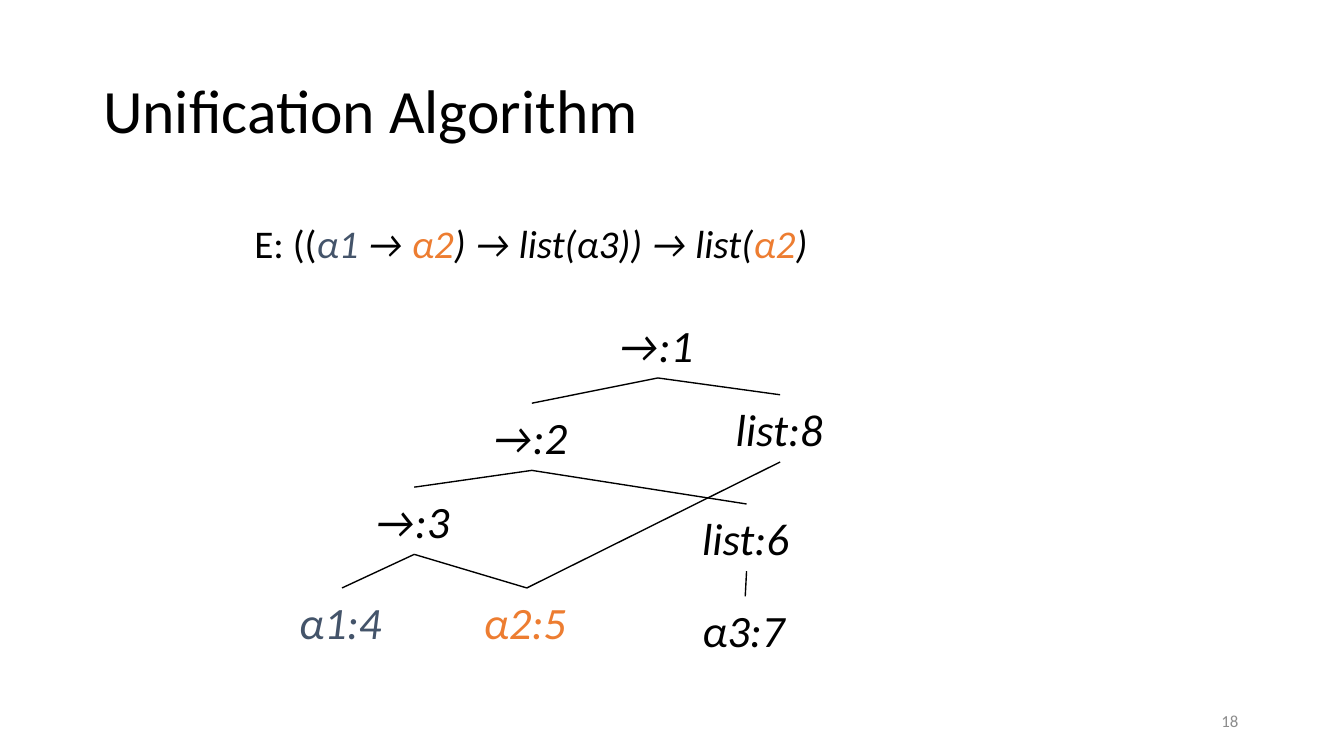
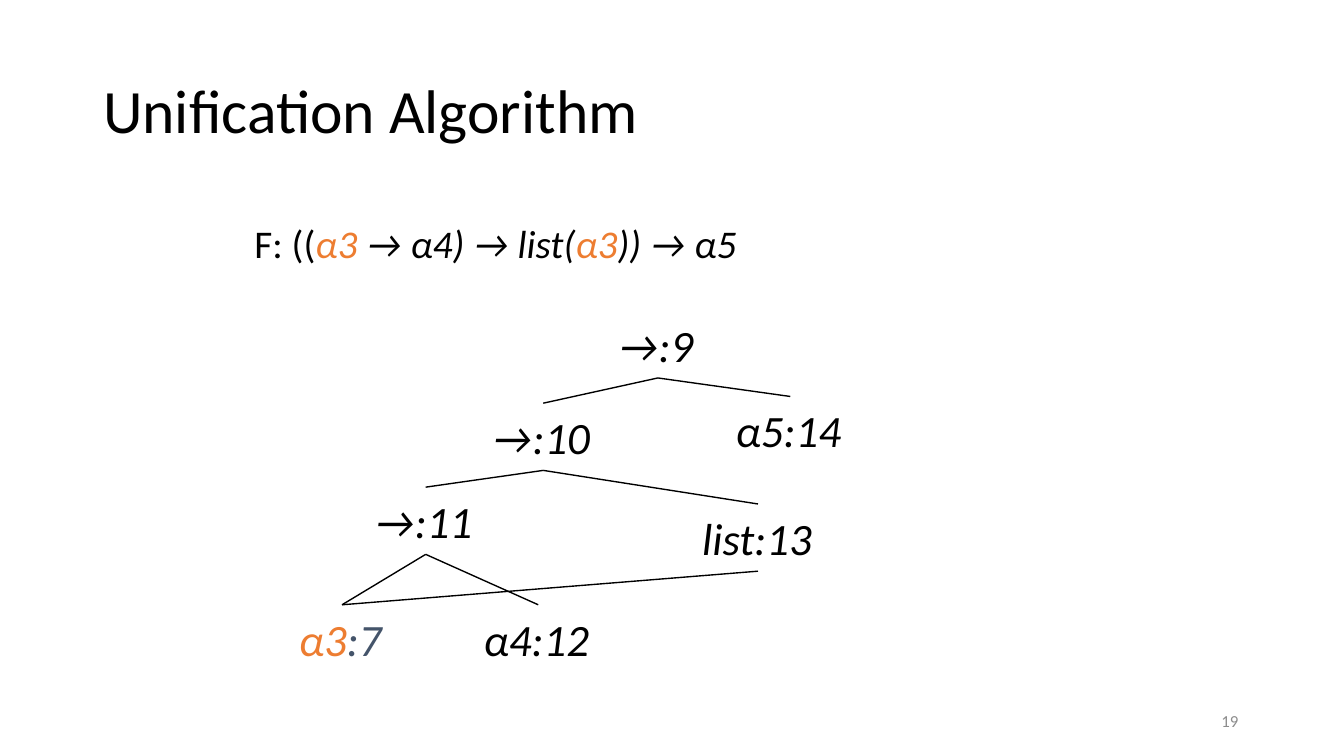
import pptx
import pptx.util
import pptx.dml.color
import pptx.enum.shapes
import pptx.enum.text
import pptx.oxml.ns
import lxml.etree

RGBColor = pptx.dml.color.RGBColor
BLACK = RGBColor(0x00, 0x00, 0x00)
SLATE = RGBColor(0x44, 0x54, 0x6A)
ORANGE = RGBColor(0xED, 0x7D, 0x31)
GREY = RGBColor(0x8C, 0x8C, 0x8C)
ALIGN = pptx.enum.text.PP_ALIGN
MIDDLE = pptx.enum.text.MSO_ANCHOR.MIDDLE
TOP = pptx.enum.text.MSO_ANCHOR.TOP

deck = pptx.Presentation()
deck.slide_width = pptx.util.Inches(10)
deck.slide_height = pptx.util.Inches(5.625)
CELL = deck.slide_width // 160  # the slide is a grid of 160 columns by 90 rows

# Node width in inches: the symbol and colon, plus each digit of the number
SYMBOL_WIDTH = {"→": 0.62, "α": 0.67, "l": 0.69}
DIGIT_WIDTH = 0.17


def place(box, column, row, columns, rows, inset=0.1, anchor=TOP):
    box.left, box.top = int(column * CELL), int(row * CELL)
    box.width, box.height = int(columns * CELL), int(rows * CELL)
    frame = box.text_frame
    frame.margin_left = frame.margin_right = pptx.util.Inches(inset)
    frame.margin_top = frame.margin_bottom = pptx.util.Inches(0.05)
    frame.vertical_anchor = anchor
    frame.word_wrap = True
    return frame


def write(frame, spans, size, align=ALIGN.LEFT):
    para = frame.paragraphs[0]
    para.alignment = align
    for text, color, italic in spans:
        span = para.add_run()
        span.text = text
        span.font.name = "Calibri"
        span.font.size = pptx.util.Pt(size)
        span.font.color.rgb = color
        span.font.italic = italic
    return para


# Each tree: node -> (column, row, coloured spans), then parent-child edges
pages = [
    {
        "number": "18",
        "formula": [("E: ((", BLACK, False), ("α1 ", SLATE, True), ("→ ", BLACK, True),
                    ("α2", ORANGE, True), (") → list(α3)) → list(", BLACK, True),
                    ("α2", ORANGE, True), (")", BLACK, True)],
        "nodes": {
            1: (72, 37, [("→:1", BLACK)]),
            2: (57, 48, [("→:2", BLACK)]),
            8: (86, 47, [("list:8", BLACK)]),
            3: (43, 58, [("→:3", BLACK)]),
            4: (34, 70, [("α1:4", SLATE)]),
            5: (56, 70, [("α2:5", ORANGE)]),
            7: (82, 71, [("α3:7", BLACK)]),
            6: (82, 60, [("list:6", BLACK)]),
        },
        "edges": [(1, 2), (1, 8), (2, 3), (2, 6), (3, 4), (3, 5), (8, 5), (6, 7)],
    },
    {
        "number": "19",
        "formula": [("F: ((", BLACK, False), ("α3 ", ORANGE, True),
                    ("→ α4) → list(", BLACK, True), ("α3", ORANGE, True),
                    (")) → α5", BLACK, True)],
        "nodes": {
            9: (72, 37, [("→:9", BLACK)]),
            10: (57, 48, [("→:10", BLACK)]),
            14: (86, 47.2, [("α5:14", BLACK)]),
            11: (43, 58, [("→:11", BLACK)]),
            7: (34, 72, [("α3", ORANGE), (":7", SLATE)]),
            12: (56, 72, [("α4:12", BLACK)]),
            13: (82, 60, [("list:13", BLACK)]),
        },
        "edges": [(9, 10), (9, 14), (10, 11), (10, 13), (11, 7), (11, 12), (13, 7)],
    },
]

for content in pages:
    page = deck.slides.add_slide(deck.slide_layouts[5])

    # Title
    frame = place(page.shapes.title, 11, 4.8, 138, 17.4, 0.08, MIDDLE)
    para = write(frame, [("Unification Algorithm", BLACK, False)], 33)
    para.line_spacing = 0.9

    # Type expression
    frame = place(page.shapes.add_textbox(0, 0, 0, 0), 29, 26, 103, 8, 0.08)
    para = write(frame, content["formula"], 21)
    para.line_spacing = 0.9
    para.space_after = pptx.util.Pt(6)

    # Page number
    frame = place(page.shapes.add_textbox(0, 0, 0, 0), 113, 83.4, 36, 4.8, anchor=MIDDLE)
    write(frame, [(content["number"], GREY, False)], 9, ALIGN.RIGHT)

    # Tree nodes
    boxes = {}
    for number, (column, row, parts) in content["nodes"].items():
        width = SYMBOL_WIDTH[parts[0][0][0]] + DIGIT_WIDTH * len(str(number))
        box = page.shapes.add_textbox(0, 0, 0, 0)
        frame = place(box, column, row, width * 16, 8)
        frame.word_wrap = False
        frame.auto_size = pptx.enum.text.MSO_AUTO_SIZE.SHAPE_TO_FIT_TEXT
        write(frame, [(text, color, True) for text, color in parts], 24)
        boxes[number] = box

    # Edges from the bottom of a parent to the top of its child
    for parent, child in content["edges"]:
        edge = page.shapes.add_connector(pptx.enum.shapes.MSO_CONNECTOR.STRAIGHT, 0, 0, 0, 0)
        edge.begin_connect(boxes[parent], 2)
        edge.end_connect(boxes[child], 0)
        edge.line.color.rgb = BLACK
        edge.line.width = pptx.util.Pt(0.75)
        lxml.etree.SubElement(edge._element.spPr, pptx.oxml.ns.qn("a:effectLst"))

deck.save("out.pptx")
